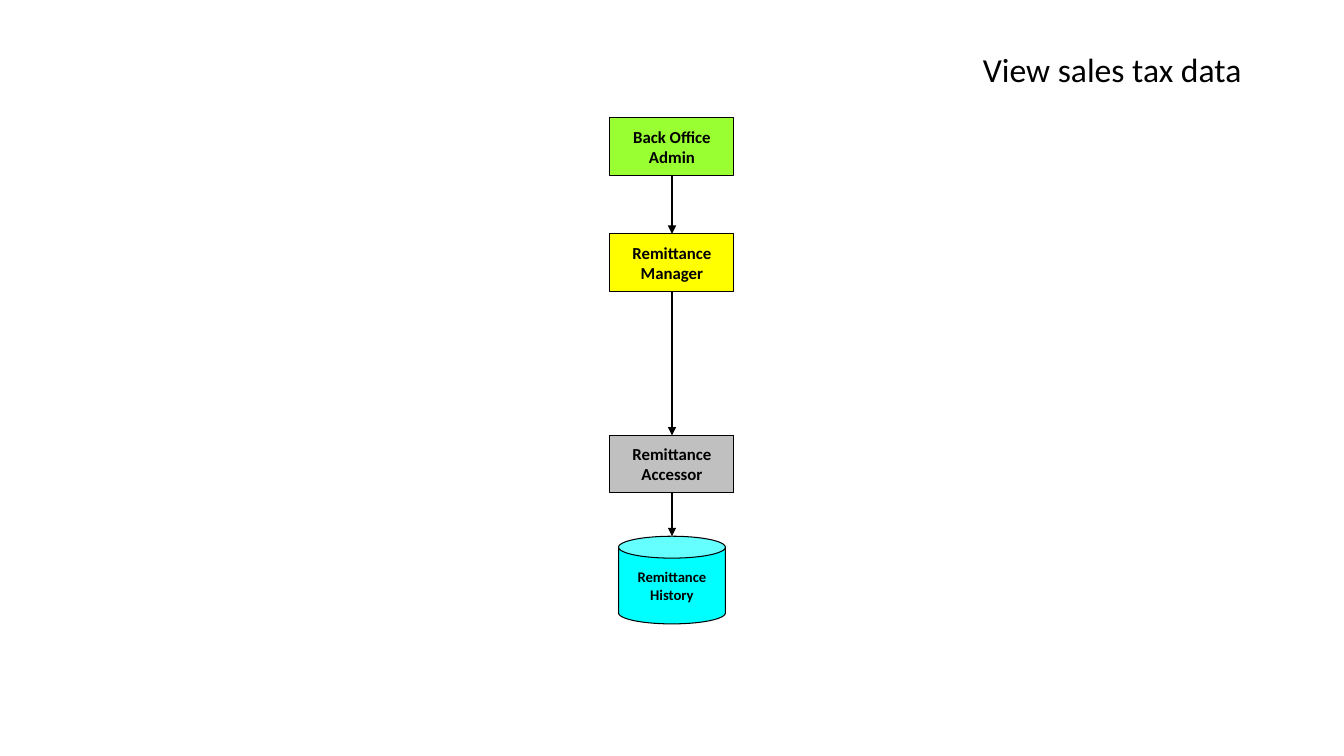
from lxml.etree import SubElement
from pptx import Presentation
from pptx.dml.color import RGBColor
from pptx.enum.shapes import MSO_CONNECTOR, MSO_SHAPE
from pptx.enum.text import MSO_ANCHOR, PP_ALIGN
from pptx.oxml.ns import qn
from pptx.util import Inches, Pt

BLACK = RGBColor(0x00, 0x00, 0x00)
GREEN = RGBColor(0x99, 0xFF, 0x33)
YELLOW = RGBColor(0xFF, 0xFF, 0x00)
GREY = RGBColor(0xC0, 0xC0, 0xC0)
CYAN = RGBColor(0x00, 0xFF, 0xFF)

SLIDE_W, SLIDE_H = 13.33, 7.5
CENTRE = SLIDE_W / 2
BOX = (1.23, 0.57)
STORE = (1.06, 0.87)


def write(frame, paragraphs, size, align, bold=False):
    frame.vertical_anchor = MSO_ANCHOR.MIDDLE
    for index, text in enumerate(paragraphs):
        paragraph = frame.add_paragraph() if index else frame.paragraphs[0]
        paragraph.alignment = align
        run = paragraph.add_run()
        run.text = text
        run.font.name = "Calibri"
        run.font.size = Pt(size)
        run.font.bold = bold
        run.font.color.rgb = BLACK


prs = Presentation()
prs.slide_width, prs.slide_height = Inches(SLIDE_W), Inches(SLIDE_H)
slide = prs.slides.add_slide(prs.slide_layouts[6])

margin = 0.92
title = slide.shapes.add_textbox(
    Inches(margin), Inches(0.4), Inches(SLIDE_W - 2 * margin), Inches(0.63)
).text_frame
title.word_wrap = True
write(title, ["View sales tax data"], 24, PP_ALIGN.RIGHT)
title.paragraphs[0].line_spacing = 0.9

# Call chain from top to bottom: paragraphs, preset, top, size, fill, text size
layers = [
    (["Back Office", "Admin"], MSO_SHAPE.RECTANGLE, 1.17, BOX, GREEN, 12),
    (["Remittance Manager"], MSO_SHAPE.RECTANGLE, 2.32, BOX, YELLOW, 12),
    (["Remittance Accessor"], MSO_SHAPE.RECTANGLE, 4.32, BOX, GREY, 12),
    (["Remittance History"], MSO_SHAPE.CAN, 5.32, STORE, CYAN, 10.5),
]
chain = []
for paragraphs, preset, top, (width, height), fill, size in layers:
    layer = slide.shapes.add_shape(
        preset, Inches(CENTRE - width / 2), Inches(top), Inches(width), Inches(height)
    )
    layer.shadow.inherit = False
    layer.fill.solid()
    layer.fill.fore_color.rgb = fill
    layer.line.color.rgb = BLACK
    layer.line.width = Pt(0.75)
    layer.text_frame.word_wrap = len(paragraphs) == 1
    write(layer.text_frame, paragraphs, size, PP_ALIGN.CENTER, bold=True)
    chain.append(layer)
chain[-1].adjustments[0] = 0.25

for caller, callee in zip(chain, chain[1:]):
    call = slide.shapes.add_connector(
        MSO_CONNECTOR.STRAIGHT,
        Inches(CENTRE), caller.top + caller.height, Inches(CENTRE), callee.top,
    )
    call.begin_connect(caller, 2)
    if callee.auto_shape_type == MSO_SHAPE.RECTANGLE:
        call.end_connect(callee, 0)
    call.line.color.rgb = BLACK
    call.line.width = Pt(1.5)
    SubElement(call.line._get_or_add_ln(), qn("a:tailEnd"), type="triangle")
    SubElement(call._element.spPr, qn("a:effectLst"))

prs.save("out.pptx")
